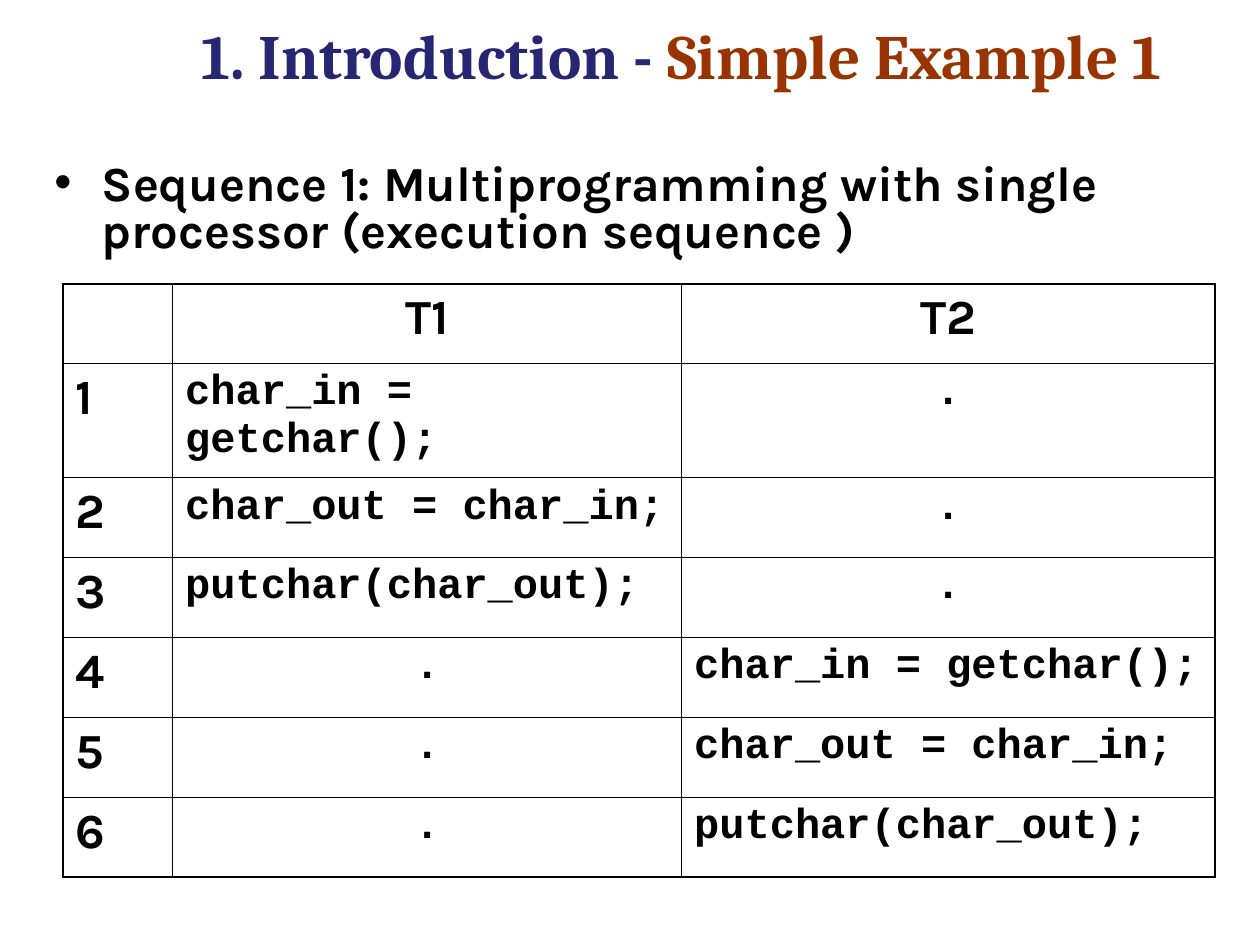
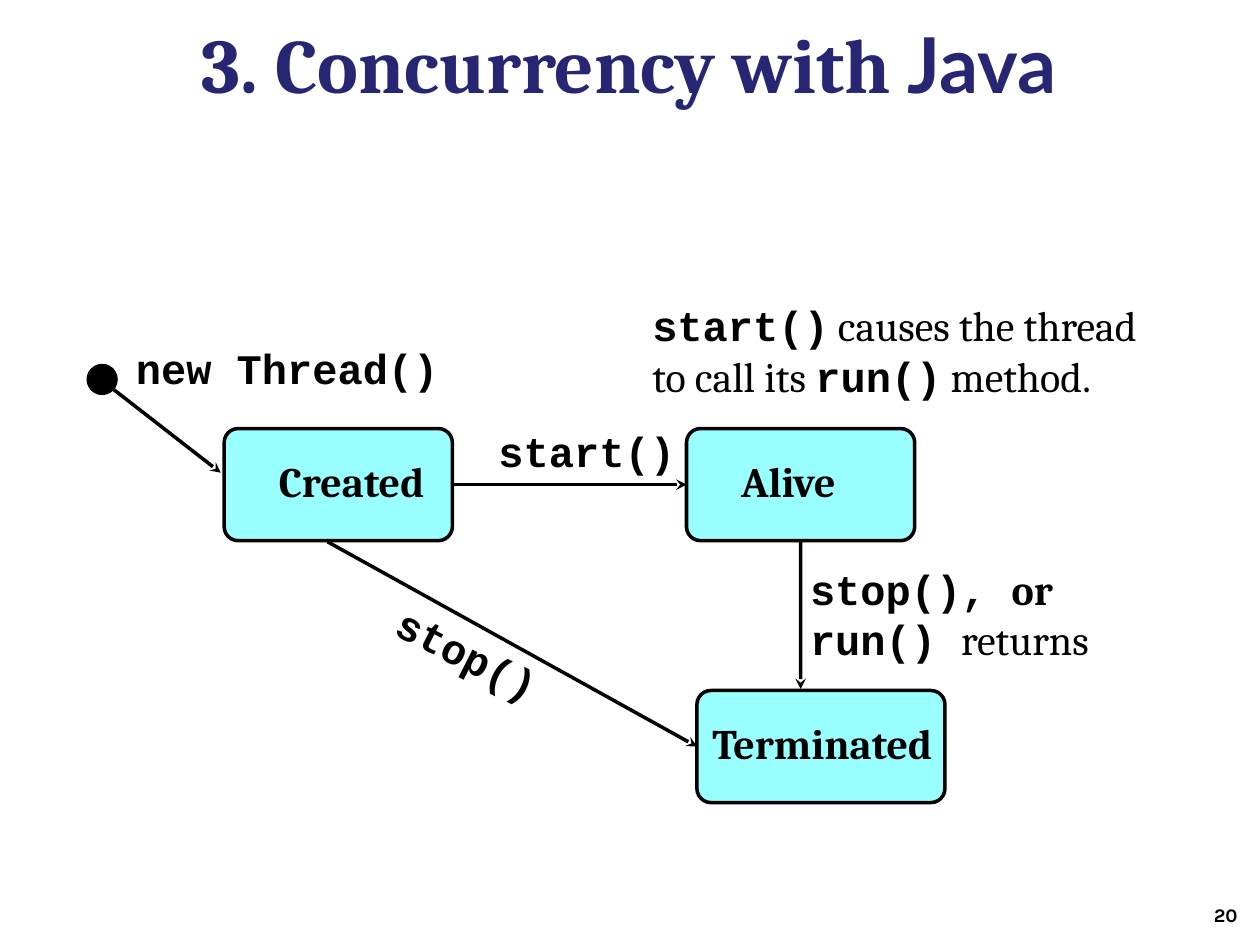
from lxml import etree
from pptx import Presentation
from pptx.dml.color import RGBColor
from pptx.enum import shapes, text
from pptx.oxml import ns
from pptx.util import Cm, Pt

NAVY, RUST, BLACK, AQUA = "262673", "993300", "000000", "99FFFF"
SERIF, MONO, SANS, TITLE_SANS = "Cambria", "Courier New", "Karla", "Lato"
THIN, THICK = Pt(0.45), Pt(1.08)


def colour(target, value):
    """Give a font, fill or line the solid colour named by a hex string."""
    if hasattr(target, "solid"):
        target.solid()
        target.fore_color.rgb = RGBColor.from_string(value)
    else:
        target.color.rgb = RGBColor.from_string(value)


def write(paragraph, runs, size, align=text.PP_ALIGN.LEFT):
    """Fill a paragraph with runs of (words, font name, bold, hex colour)."""
    paragraph.alignment = align
    paragraph.space_before = Pt(0)
    for words, name, bold, value in runs:
        run = paragraph.add_run()
        run.text = words
        run.font.name, run.font.size, run.font.bold = name, Pt(size), bold
        colour(run.font, value)


presentation = Presentation()
presentation.slide_width, presentation.slide_height = Cm(25.4), Cm(19.05)

# Both slides: title style
titles = [
    (1, 36, [("1. Introduction - ", SERIF, True, NAVY),
             ("Simple Example 1", SERIF, True, RUST)]),
    (5, 44, [("3. Concurrency with", SERIF, True, NAVY),
             (" Java", TITLE_SANS, True, NAVY)]),
]
for layout, size, runs in titles:
    slide = presentation.slides.add_slide(presentation.slide_layouts[layout])
    title = slide.shapes.title
    title.left, title.top, title.width, title.height = Cm(3.81), Cm(0.2), Cm(21.39), Cm(2.11)
    title.text_frame.auto_size = text.MSO_AUTO_SIZE.NONE
    title.text_frame.vertical_anchor = text.MSO_ANCHOR.TOP
    write(title.text_frame.paragraphs[0], runs, size)
sequence_slide, thread_slide = presentation.slides

# Slide 1: heading of the execution sequence
body = sequence_slide.placeholders[1]
body.left, body.top, body.width, body.height = Cm(0.84), Cm(3.18), Cm(21.59), Cm(2.74)
body.text_frame.auto_size = text.MSO_AUTO_SIZE.NONE
heading = body.text_frame.paragraphs[0]
properties = heading._p.get_or_add_pPr()
properties.set("marL", str(Cm(0.96)))
properties.set("indent", str(-Cm(0.96)))
bullet = etree.SubElement(properties, ns.qn("a:buChar"))
bullet.set("char", "•")
heading.line_spacing = 0.8
write(heading, [("Sequence 1: Multiprogramming with single processor (execution sequence )",
                 SANS, True, BLACK)], 28)

# Slide 1: table of steps, the second thread repeating the first
statements = ["char_in = getchar();", "char_out = char_in;", "putchar(char_out);"]
idle = ["."] * len(statements)
rows = [("", "T1", "T2")]
for number, (first, second) in enumerate(zip(statements + idle, idle + statements), 1):
    rows.append((str(number), first, second))
column_widths = [2.21, 10.26, 10.75]
row_heights = [1.61, 2.3] + [1.61] * 5
table = sequence_slide.shapes.add_table(
    len(rows), len(column_widths), Cm(1.27), Cm(5.72),
    Cm(sum(column_widths)), Cm(sum(row_heights))).table
table.first_row = table.horz_banding = False
for column, width in zip(table.columns, column_widths):
    column.width = Cm(width)
for row, height in zip(table.rows, row_heights):
    row.height = Cm(height)

last_row, last_column = len(rows) - 1, len(column_widths) - 1
for r, row in enumerate(rows):
    for c, words in enumerate(row):
        cell = table.cell(r, c)
        cell.fill.background()
        if words:
            is_label = r == 0 or c == 0
            is_centred = r == 0 or words == "."
            write(cell.text_frame.paragraphs[0],
                  [(words, SANS if is_label else MONO, True, BLACK)],
                  28 if is_label else 24,
                  text.PP_ALIGN.CENTER if is_centred else text.PP_ALIGN.LEFT)
        is_outer = {"lnL": c == 0, "lnR": c == last_column,
                    "lnT": r == 0, "lnB": r == last_row}
        for position, (side, outer) in enumerate(is_outer.items()):
            border = etree.Element(ns.qn(f"a:{side}"), w=str(THICK if outer else THIN))
            fill = etree.SubElement(border, ns.qn("a:solidFill"))
            etree.SubElement(fill, ns.qn("a:srgbClr"), val=BLACK)
            cell._tc.get_or_add_tcPr().insert(position, border)

# Slide 2: thread states, each with its left text margin
states = {}
for name, left, top, width, margin in [("Created", 4.52, 8.64, 4.6, 1.02),
                                       ("Alive", 13.84, 8.64, 4.6, 1.02),
                                       ("Terminated", 14.05, 13.92, 5, 0.23)]:
    state = thread_slide.shapes.add_shape(
        shapes.MSO_SHAPE.ROUNDED_RECTANGLE, Cm(left), Cm(top), Cm(width), Cm(2.26))
    state.adjustments[0] = 0.125
    state.shadow.inherit = False
    colour(state.fill, AQUA)
    colour(state.line, BLACK)
    state.line.width = Pt(2)
    frame = state.text_frame
    frame.vertical_anchor = text.MSO_ANCHOR.TOP
    frame.margin_left, frame.margin_top, frame.margin_right = Cm(margin), Cm(0.47), 0
    write(frame.paragraphs[0], [(name, SERIF, True, BLACK)], 24)
    states[name] = state

start_dot = thread_slide.shapes.add_shape(
    shapes.MSO_SHAPE.OVAL, Cm(1.78), Cm(7.37), Cm(0.56), Cm(0.56))
start_dot.shadow.inherit = False
colour(start_dot.fill, BLACK)
colour(start_dot.line, BLACK)
start_dot.line.width = Pt(2)

# Slide 2: transitions, joined (state, side) where they meet the middle of a side
transitions = [
    ((9.12, 9.77), (13.84, 9.77), ("Created", 3), ("Alive", 1)),
    ((16.14, 10.9), (16.14, 13.89), ("Alive", 2), None),
    ((6.6, 10.92), (14.05, 15.05), None, ("Terminated", 1)),
    ((2.16, 7.75), (4.45, 9.53), None, None),
]
for begin, end, source, target in transitions:
    arrow = thread_slide.shapes.add_connector(
        shapes.MSO_CONNECTOR.STRAIGHT, *map(Cm, begin + end))
    if source:
        arrow.begin_connect(states[source[0]], source[1])
    if target:
        arrow.end_connect(states[target[0]], target[1])
    colour(arrow.line, BLACK)
    arrow.line.width = Pt(2)
    shape_properties = arrow._element.spPr
    etree.SubElement(shape_properties.find(ns.qn("a:ln")), ns.qn("a:tailEnd"), type="stealth")
    etree.SubElement(shape_properties, ns.qn("a:effectLst"))

# Slide 2: labels as (left, top, width, height), rotation, wrap, paragraphs of runs
labels = [
    ((2.49, 6.78, 6.63, 1.27), 0, False, [[("new Thread()", MONO, True, BLACK)]]),
    ((9.8, 8.46, 4.09, 1.27), 0, False, [[("start()", MONO, True, BLACK)]]),
    ((7.65, 12.55, 3.58, 1.27), 27, False, [[("stop()", MONO, True, BLACK)]]),
    ((16.08, 11.23, 6.99, 2.29), 0, True,
     [[("stop(), ", MONO, True, BLACK), ("or", SERIF, True, BLACK)],
      [("run() ", MONO, True, BLACK), ("returns", SERIF, False, BLACK)]]),
    ((12.9, 5.92, 11, 2.29), 0, True,
     [[("start()", MONO, True, BLACK),
       (" causes the thread to call its ", SERIF, False, BLACK),
       ("run()", MONO, True, BLACK),
       (" method.", SERIF, False, BLACK)]]),
]
for place, rotation, wrap, paragraphs in labels:
    label = thread_slide.shapes.add_textbox(*map(Cm, place))
    label.rotation = rotation
    label.text_frame.word_wrap = wrap
    for index, runs in enumerate(paragraphs):
        frame = label.text_frame
        write(frame.add_paragraph() if index else frame.paragraphs[0], runs, 24)

page_number = thread_slide.shapes.add_textbox(Cm(22.02), Cm(18.08), Cm(3.18), Cm(0.69))
page_number.text_frame.word_wrap = True
write(page_number.text_frame.paragraphs[0], [("20", SANS, True, BLACK)], 11,
      text.PP_ALIGN.RIGHT)

presentation.save("out.pptx")
